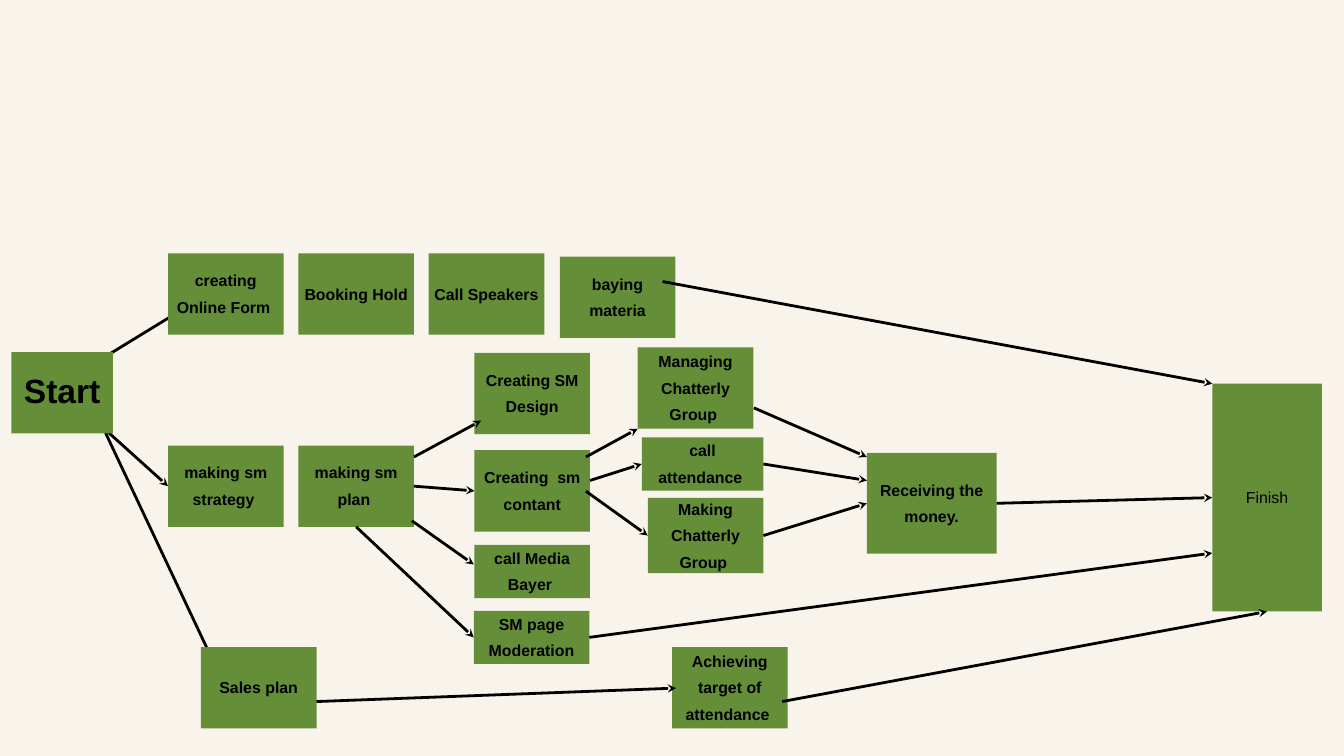
from dataclasses import dataclass

from lxml import etree
from pptx import Presentation
from pptx import util as u
from pptx.dml.color import RGBColor
from pptx.enum import shapes, text
from pptx.oxml.ns import qn

PX = 9144  # EMU per px, 100 px to the inch
COLORS = {"back": "F8F4EB", "box": "648E38", "ink": "000000"}
INSET = 6

End = tuple[int, int] | tuple[str, int]  # a point, or a step and its side
TOP, LEFT, BOTTOM, RIGHT = range(4)


@dataclass
class Step:
    key: str
    label: str
    x: int
    y: int
    w: int = 172
    h: int = 121
    size: int = 17
    bold: bool = True
    lift: int = 12  # extra bottom inset that raises the label


@dataclass
class Link:
    start: End
    end: End
    behind: bool = False


STEPS = [
    Step("start", "Start", 17, 524, w=151, size=36, lift=32),
    Step("form", "creating Online Form ", 250, 377),
    Step("sales", "Sales plan", 299, 963),
    Step("hold", "Booking Hold ", 444, 377),
    Step("buy", "baying materia", 833, 382),
    Step("speak", "Call Speakers ", 638, 377),
    Step("target", "Achieving target of attendance ", 1000, 963),
    Step("page", "SM page Moderation", 705, 909, h=79),
    Step("money", "Receiving the money.", 1290, 674, w=193, h=150),
    Step("finish", "Finish", 1804, 571, w=163, h=339, bold=False),
    Step("strat", "making sm strategy ", 250, 663),
    Step("text", "Creating  sm contant", 706, 670),
    Step("plan", "making sm plan ", 444, 663),
    Step("media", "call Media Bayer ", 706, 811, h=79),
    Step("call", "call attendance ", 955, 651, w=181, h=79),
    Step("design", "Creating SM Design", 706, 525),
    Step("manage", "Managing Chatterly Group ", 949, 517),
    Step("make", "Making Chatterly Group ", 964, 741, h=112),
]

LINKS = [
    Link((68, 585), (269, 462), behind=True),
    Link((93, 582), ("strat", LEFT), behind=True),
    Link((157, 644), (336, 1024), behind=True),
    Link((986, 419), (1804, 571)),
    Link((471, 1044), (1006, 1024)),
    Link((872, 680), (949, 638)),
    Link((878, 715), ("call", LEFT)),
    Link((872, 731), ("make", LEFT)),
    Link((1122, 607), (1290, 680)),
    Link(("call", RIGHT), (1290, 715)),
    Link(("make", RIGHT), (1290, 749)),
    Link(("page", RIGHT), (1804, 823)),
    Link((1164, 1044), ("finish", BOTTOM)),
    Link(("money", RIGHT), ("finish", LEFT)),
    Link((616, 680), (716, 626)),
    Link(("plan", BOTTOM), ("page", LEFT)),
    Link(("plan", RIGHT), ("text", LEFT)),
    Link((613, 775), (705, 840)),
]


def color(name: str) -> RGBColor:
    return RGBColor.from_string(COLORS[name])


def draw_step(slide, step: Step):
    box = slide.shapes.add_shape(
        shapes.MSO_SHAPE.RECTANGLE,
        *(n * PX for n in (step.x, step.y, step.w, step.h)))
    box.shadow.inherit = False
    box.fill.solid()
    box.fill.fore_color.rgb = color("box")
    box.line.fill.background()

    frame = box.text_frame
    frame.word_wrap = True
    frame.vertical_anchor = text.MSO_ANCHOR.MIDDLE
    frame.margin_left = frame.margin_right = frame.margin_top = INSET * PX
    frame.margin_bottom = (INSET + step.lift) * PX
    para = frame.paragraphs[0]
    para.text = step.label
    para.alignment = text.PP_ALIGN.CENTER
    para.line_spacing = 1.4
    font = para.font
    font.name = "Arial"
    font.size = u.Pt(step.size)
    font.bold = step.bold
    font.color.rgb = color("ink")
    return box


def draw_link(slide, link: Link, boxes: dict) -> None:
    line = slide.shapes.add_connector(shapes.MSO_CONNECTOR.STRAIGHT, 0, 0, 0, 0)
    if isinstance(link.start[0], str):
        line.begin_connect(boxes[link.start[0]], link.start[1])
    else:
        line.begin_x, line.begin_y = (n * PX for n in link.start)
    if isinstance(link.end[0], str):
        line.end_connect(boxes[link.end[0]], link.end[1])
    else:
        line.end_x, line.end_y = (n * PX for n in link.end)

    line.line.width = u.Pt(3)
    line.line.color.rgb = color("ink")
    node = line._element
    stroke = node.spPr.find(qn("a:ln"))
    etree.SubElement(stroke, qn("a:tailEnd"), type="stealth")
    etree.SubElement(node.spPr, qn("a:effectLst"))
    if link.behind:
        node.getparent().insert(2, node)


def main() -> None:
    deck = Presentation()
    deck.slide_width, deck.slide_height = 2000 * PX, 1125 * PX
    slide = deck.slides.add_slide(deck.slide_layouts[6])
    slide.background.fill.solid()
    slide.background.fill.fore_color.rgb = color("back")

    boxes = {step.key: draw_step(slide, step) for step in STEPS}
    for link in LINKS:
        draw_link(slide, link, boxes)
    deck.save("out.pptx")


if __name__ == "__main__":
    main()
